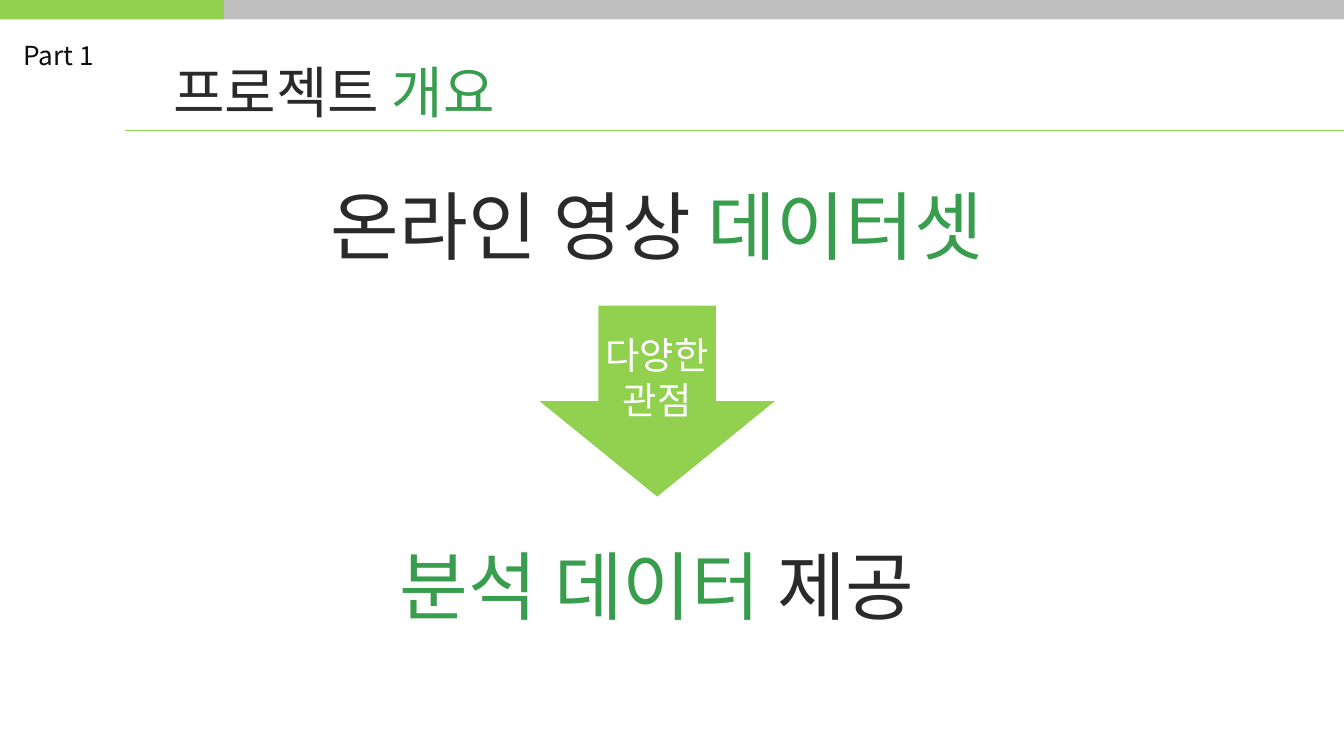
import pptx
import pptx.util
import pptx.dml.color
import pptx.enum.shapes
import pptx.enum.text
import pptx.oxml.ns
from lxml import etree

Inches, Pt = pptx.util.Inches, pptx.util.Pt
RGBColor = pptx.dml.color.RGBColor
SHAPE = pptx.enum.shapes.MSO_SHAPE
ALIGN = pptx.enum.text.PP_ALIGN
ANCHOR = pptx.enum.text.MSO_ANCHOR
qn = pptx.oxml.ns.qn

LIME = RGBColor(0x92, 0xD0, 0x50)
GREEN = RGBColor(0x39, 0x9D, 0x4E)
GRAY = RGBColor(0xBF, 0xBF, 0xBF)
INK = RGBColor(0x2A, 0x2A, 0x2A)
BLACK = RGBColor(0x0D, 0x0D, 0x0D)
WHITE = RGBColor(0xFF, 0xFF, 0xFF)
FONT = "Noto Sans CJK SC"
WIDTH, HEIGHT = 20, 11.25

# Content: headings as (place, size, alignment, runs)
HEADINGS = [
    ((2.58, 0.44, 8.14, 1.29), 60, ALIGN.LEFT, [("프로젝트 ", INK), ("개요", GREEN)]),
    ((2.94, 2.59, 13.67, 1.4), 80, ALIGN.CENTER, [("온라인 영상 ", INK), ("데이터셋", GREEN)]),
    ((2.48, 7.95, 14.6, 1.36), 80, ALIGN.CENTER, [("분석 데이터 ", GREEN), ("제공", INK)]),
]
PART = [("Part 1", BLACK)]
ARROW = [("다양한 관점", WHITE)]
PROGRESS = [LIME] + [GRAY] * 5
BAR_HEIGHT = 0.29
RULE_LEFT, RULE_TOP = 1.86, 1.94


def add_runs(para, runs, size):
    for text, color in runs:
        span = para.add_run()
        span.text = text
        span.font.size = Pt(size)
        span.font.name = FONT
        span.font.color.rgb = color
        east_asian = etree.SubElement(span.font._element, qn("a:ea"))
        east_asian.set("typeface", FONT)


def add_filled(page, kind, place, color):
    shape = page.shapes.add_shape(kind, *map(Inches, place))
    shape.shadow.inherit = False
    shape.fill.solid()
    shape.fill.fore_color.rgb = color
    shape.line.fill.background()
    return shape


def add_heading(page, place, size, align, runs):
    box = page.shapes.add_textbox(*map(Inches, place))
    frame = box.text_frame
    frame.word_wrap = True
    frame.margin_left = frame.margin_right = 0
    frame.margin_top = frame.margin_bottom = 0
    para = frame.paragraphs[0]
    para.alignment = align
    para.line_spacing = Pt(102)
    add_runs(para, runs, size)


def main():
    deck = pptx.Presentation()
    deck.slide_width, deck.slide_height = Inches(WIDTH), Inches(HEIGHT)
    page = deck.slides.add_slide(deck.slide_layouts[6])

    # Progress bar
    step = WIDTH / len(PROGRESS)
    for column, color in enumerate(PROGRESS):
        add_filled(page, SHAPE.RECTANGLE, (column * step, 0, step, BAR_HEIGHT), color)

    # Headings
    for heading in HEADINGS:
        add_heading(page, *heading)

    # Rule below the title
    rule = page.shapes.add_connector(
        pptx.enum.shapes.MSO_CONNECTOR.STRAIGHT,
        Inches(RULE_LEFT), Inches(RULE_TOP), Inches(WIDTH), Inches(RULE_TOP))
    rule.line.color.rgb = LIME
    rule.line.width = Pt(0.75)
    etree.SubElement(rule._element.spPr, qn("a:effectLst"))

    # Part label
    label = page.shapes.add_textbox(*map(Inches, (0.25, 0.53, 1.25, 0.57)))
    label.text_frame.word_wrap = False
    add_runs(label.text_frame.paragraphs[0], PART, 28)

    # Arrow from the data set to the analysis
    arrow = add_filled(page, SHAPE.DOWN_ARROW, (8.03, 4.55, 3.5, 2.84), LIME)
    arrow.text_frame.word_wrap = True
    arrow.text_frame.vertical_anchor = ANCHOR.MIDDLE
    para = arrow.text_frame.paragraphs[0]
    para.alignment = ALIGN.CENTER
    add_runs(para, ARROW, 40)

    deck.save("out.pptx")


if __name__ == "__main__":
    main()
